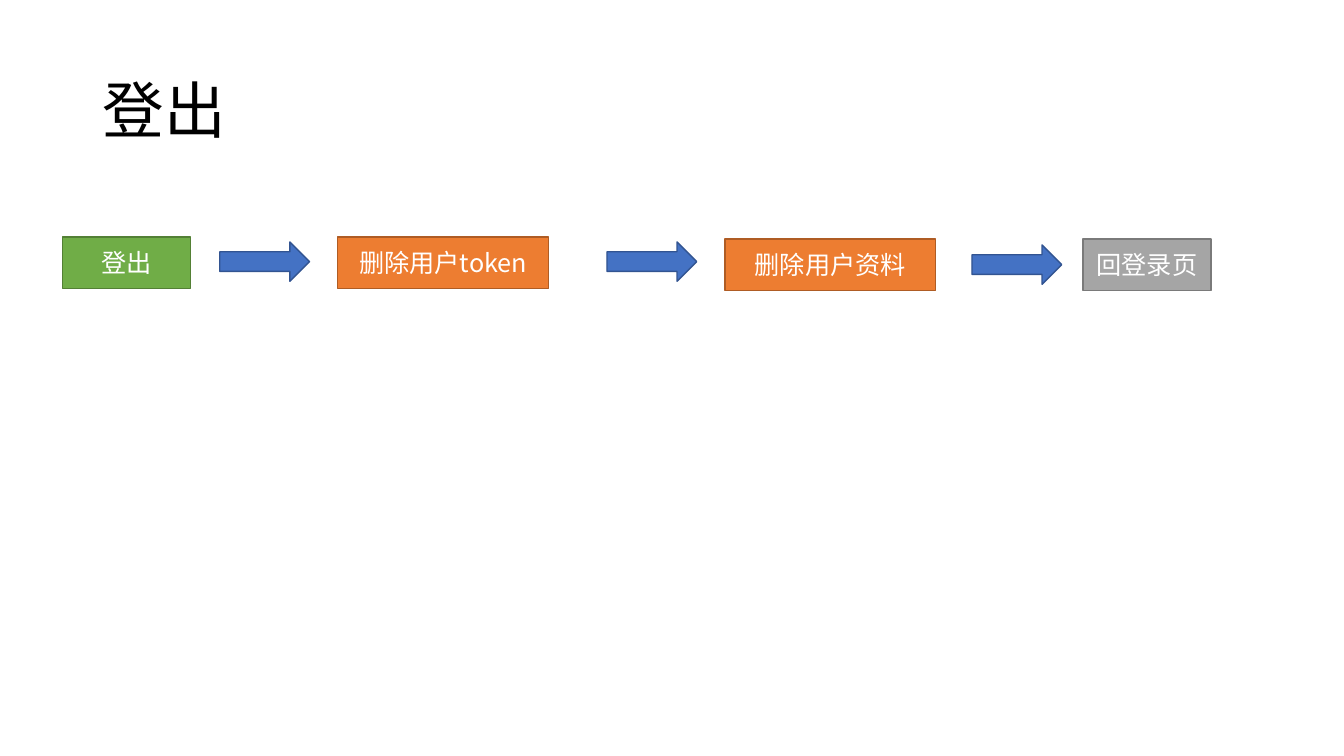
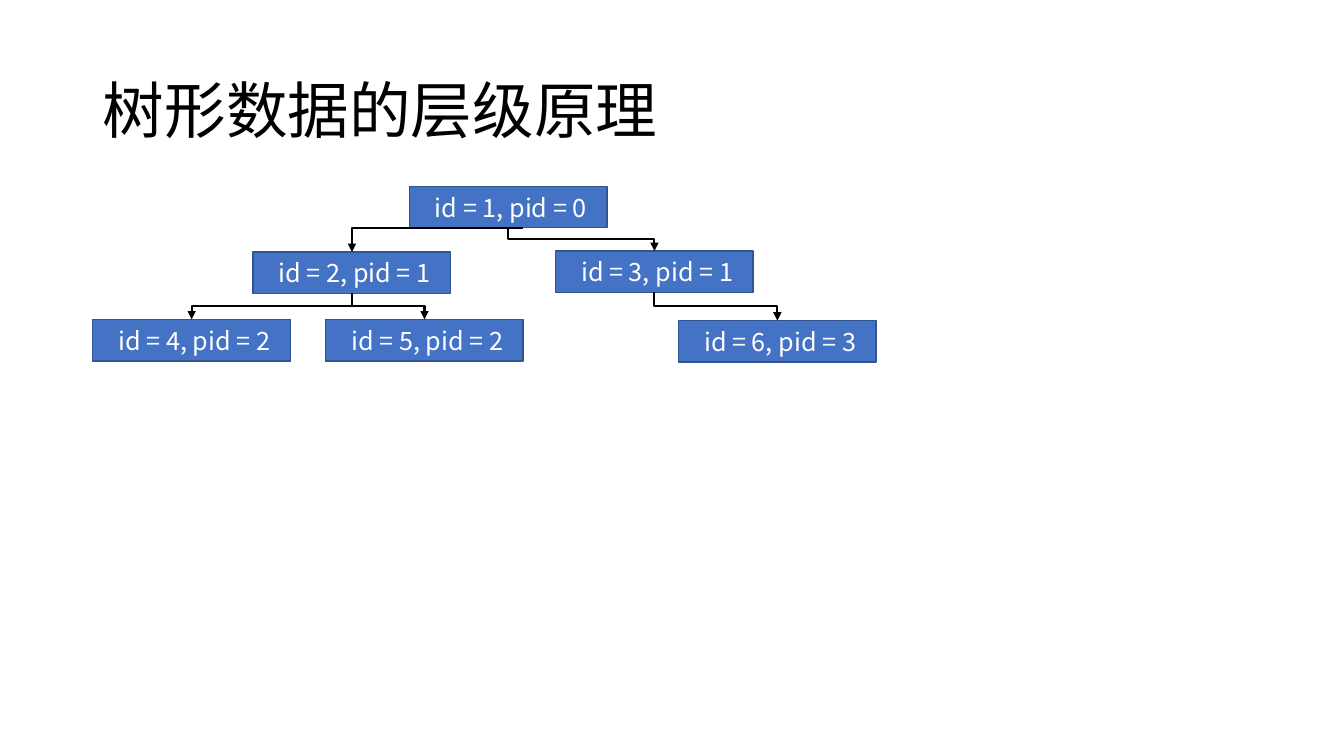
import dataclasses

import pptx
import pptx.dml.color
import pptx.enum.shapes
import pptx.enum.text
import pptx.oxml
import pptx.oxml.ns
import pptx.presentation
import pptx.shapes.autoshape
import pptx.shapes.connector
import pptx.slide
import pptx.text.text
import pptx.util

EMU_PER_PX = 9144
FONT = "Noto Sans CJK SC"
BLACK, WHITE = "000000", "FFFFFF"
QUARTER_TURN = 5400000


@dataclasses.dataclass(frozen=True)
class Paint:
    fill: str
    line: str


GREEN = Paint("70AD47", "538035")
ORANGE = Paint("ED7D31", "AF5C24")
GRAY = Paint("A5A5A5", "7A7A7A")
BLUE = Paint("4472C4", "325491")


@dataclasses.dataclass(frozen=True)
class Step:
    text: str
    left: int
    top: int
    width: int
    paint: Paint


@dataclasses.dataclass(frozen=True)
class Node:
    id: int
    pid: int
    left: int
    top: int

    @property
    def center(self) -> int:
        return self.left + NODE_WIDTH // 2

    @property
    def bottom(self) -> int:
        return self.top + NODE_HEIGHT


STEP_HEIGHT = 51
STEPS = (
    Step("登出", 62, 235, 127, GREEN),
    Step("删除用户token", 335, 235, 209, ORANGE),
    Step("删除用户资料", 719, 237, 209, ORANGE),
    Step("回登录页", 1074, 237, 127, GRAY),
)
ARROW_WIDTH, ARROW_HEIGHT = 89, 39
ARROWS = ((218, 240), (602, 240), (964, 243))

NODE_WIDTH, NODE_HEIGHT = 196, 41
NODES = (
    Node(1, 0, 406, 185),
    Node(2, 1, 251, 250),
    Node(3, 1, 551, 249),
    Node(4, 2, 92, 317),
    Node(5, 2, 323, 317),
    Node(6, 3, 673, 318),
)
SIDE_BRANCH_ID = 2
SIDE_BRANCH_START = 519


def px(length: float) -> pptx.util.Emu:
    return pptx.util.Emu(round(length * EMU_PER_PX))


def color(value: str) -> pptx.dml.color.RGBColor:
    return pptx.dml.color.RGBColor.from_string(value)


def write(frame: pptx.text.text.TextFrame, text: str, size: int, ink: str,
          alignment: pptx.enum.text.PP_ALIGN) -> None:
    frame.vertical_anchor = pptx.enum.text.MSO_ANCHOR.MIDDLE
    para = frame.paragraphs[0]
    para.text = text
    para.alignment = alignment
    para.font.size = pptx.util.Pt(size)
    para.font.name = FONT
    para.font.color.rgb = color(ink)
    defaults = para._p.pPr.find(pptx.oxml.ns.qn("a:defRPr"))
    east_asian = pptx.oxml.parse_xml(f'<a:ea {pptx.oxml.ns.nsdecls("a")} typeface="{FONT}"/>')
    defaults.append(east_asian)


def add_page(deck: pptx.presentation.Presentation, text: str) -> pptx.slide.Slide:
    page = deck.slides.add_slide(deck.slide_layouts.get_by_name("Title Only"))
    title = page.shapes.title
    title.left, title.top, title.width, title.height = map(px, (92, 40, 1150, 145))
    write(title.text_frame, text, 44, BLACK, pptx.enum.text.PP_ALIGN.LEFT)
    title.text_frame.auto_size = pptx.enum.text.MSO_AUTO_SIZE.NONE
    title.text_frame.paragraphs[0].line_spacing = 0.9
    return page


def add_shape(page: pptx.slide.Slide, kind: pptx.enum.shapes.MSO_SHAPE, left: int, top: int,
              width: int, height: int, paint: Paint) -> pptx.shapes.autoshape.Shape:
    shape = page.shapes.add_shape(kind, px(left), px(top), px(width), px(height))
    shape.shadow.inherit = False
    shape.fill.solid()
    shape.fill.fore_color.rgb = color(paint.fill)
    shape.line.color.rgb = color(paint.line)
    shape.line.width = pptx.util.Pt(1)
    return shape


def add_box(page: pptx.slide.Slide, text: str, left: int, top: int,
            width: int, height: int, paint: Paint) -> None:
    box = add_shape(page, pptx.enum.shapes.MSO_SHAPE.RECTANGLE, left, top, width, height, paint)
    write(box.text_frame, text, 18, WHITE, pptx.enum.text.PP_ALIGN.CENTER)


def add_elbow(page: pptx.slide.Slide, begin_x: float, begin_y: float, end_x: float,
              end_y: float, quarter_turns: int) -> pptx.shapes.connector.Connector:
    """Add an elbow arrow given by its corners before rotation."""
    elbow = page.shapes.add_connector(pptx.enum.shapes.MSO_CONNECTOR.ELBOW,
                                      px(begin_x), px(begin_y), px(end_x), px(end_y))
    elbow.line.color.rgb = color(BLACK)
    elbow.line.width = pptx.util.Pt(1.5)
    namespace = pptx.oxml.ns.nsdecls("a")
    properties = elbow._element.spPr
    properties.find(pptx.oxml.ns.qn("a:xfrm")).set("rot", str(quarter_turns * QUARTER_TURN))
    properties.find(pptx.oxml.ns.qn("a:ln")).append(
        pptx.oxml.parse_xml(f'<a:tailEnd {namespace} type="triangle"/>'))
    properties.append(pptx.oxml.parse_xml(f"<a:effectLst {namespace}/>"))
    return elbow


def add_drop(page: pptx.slide.Slide, parent: Node, child: Node) -> None:
    """Run down, across and down again from parent to child."""
    middle_x = (parent.center + child.center) / 2
    middle_y = (parent.bottom + child.top) / 2
    half_drop = (child.top - parent.bottom) / 2
    half_span = abs(child.center - parent.center) / 2
    goes_right = child.center > parent.center
    side = half_drop if goes_right else -half_drop
    add_elbow(page, middle_x + side, middle_y - half_span,
              middle_x - side, middle_y + half_span, 3 if goes_right else 1)


def add_side_branch(page: pptx.slide.Slide, parent: Node, child: Node) -> None:
    """Run left along the bottom of the parent, then down to the child."""
    elbow = add_elbow(page, child.center, child.top, SIDE_BRANCH_START, parent.bottom, 2)
    geometry = elbow._element.spPr.find(pptx.oxml.ns.qn("a:prstGeom"))
    geometry.set("prst", "bentConnector2")


def build_logout(deck: pptx.presentation.Presentation) -> None:
    page = add_page(deck, "登出")
    for step in STEPS:
        add_box(page, step.text, step.left, step.top, step.width, STEP_HEIGHT, step.paint)
    for left, top in ARROWS:
        add_shape(page, pptx.enum.shapes.MSO_SHAPE.RIGHT_ARROW, left, top,
                  ARROW_WIDTH, ARROW_HEIGHT, BLUE)


def build_tree(deck: pptx.presentation.Presentation) -> None:
    page = add_page(deck, "树形数据的层级原理")
    for node in NODES:
        add_box(page, f" id = {node.id}, pid = {node.pid}", node.left, node.top,
                NODE_WIDTH, NODE_HEIGHT, BLUE)
    nodes = {node.id: node for node in NODES}
    for child in NODES:
        if child.pid in nodes:
            connect = add_side_branch if child.id == SIDE_BRANCH_ID else add_drop
            connect(page, nodes[child.pid], child)


def main() -> None:
    deck = pptx.Presentation()
    deck.slide_width, deck.slide_height = px(1333), px(750)
    build_logout(deck)
    build_tree(deck)
    deck.save("out.pptx")


if __name__ == "__main__":
    main()
